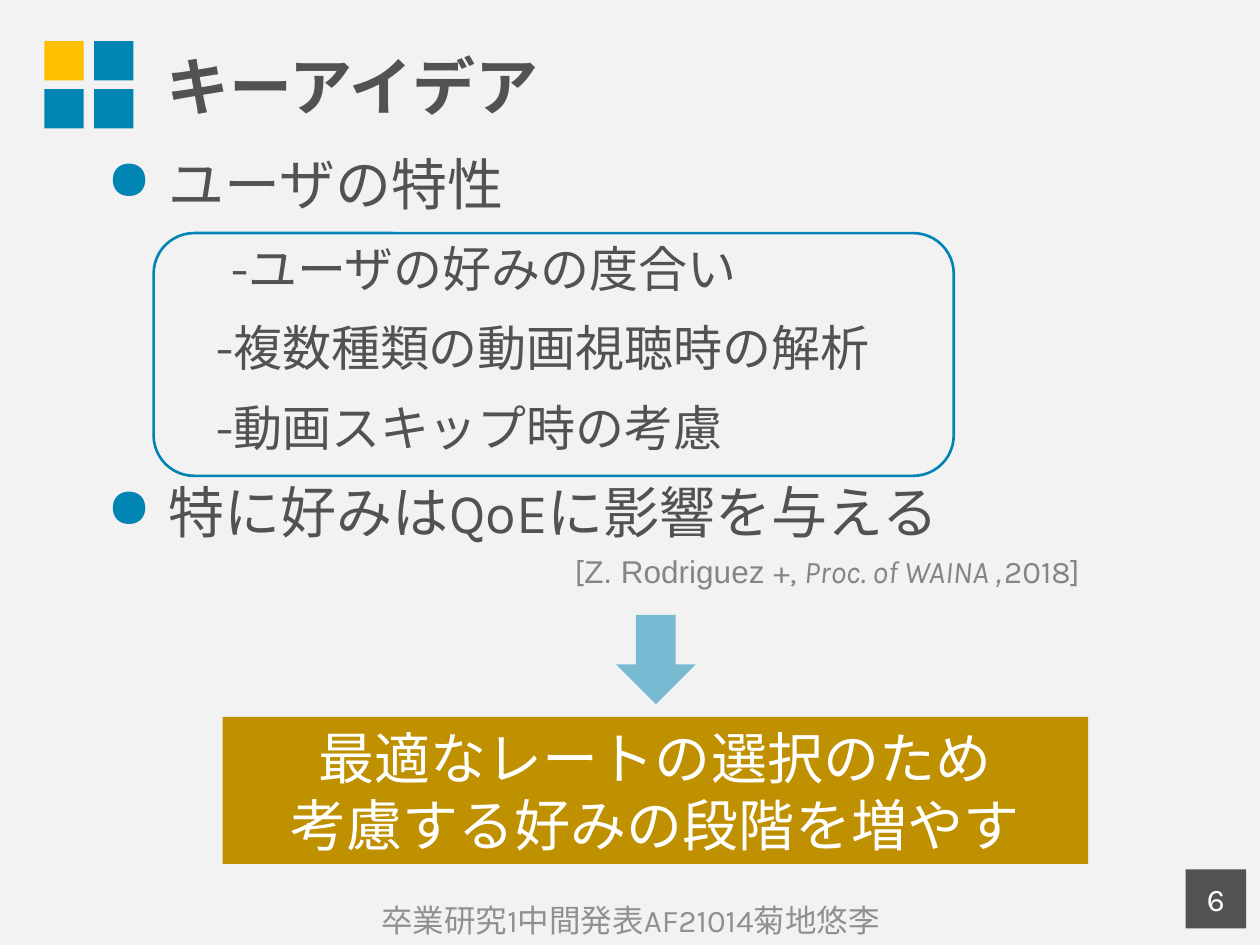
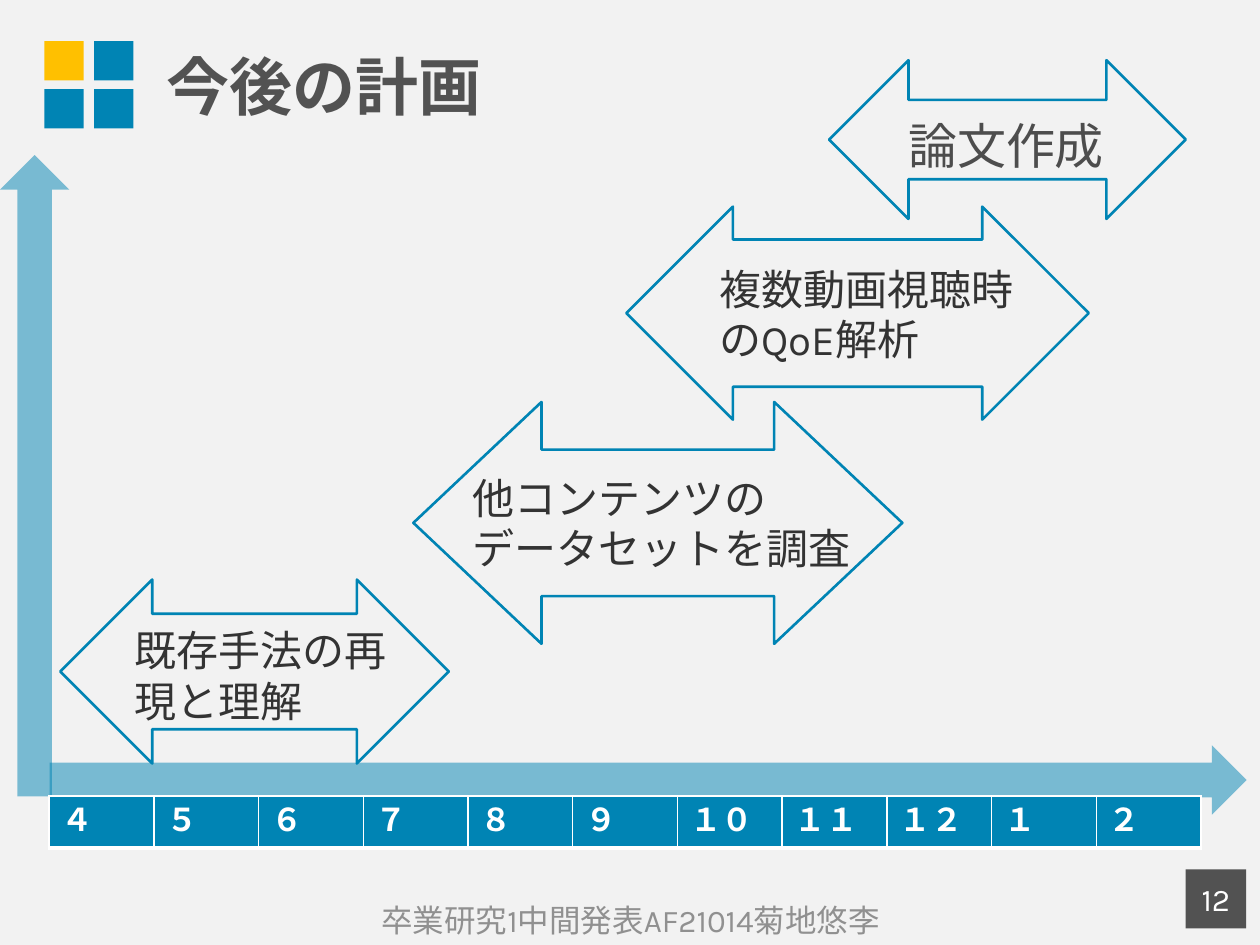
from dataclasses import dataclass
from typing import Any, NamedTuple, Optional

import pptx
import pptx.dml.color
import pptx.enum.lang
import pptx.enum.shapes
import pptx.enum.text
import pptx.oxml
import pptx.oxml.ns
import pptx.util

Pt = pptx.util.Pt
SHAPE = pptx.enum.shapes.MSO_SHAPE
ALIGN = pptx.enum.text.PP_ALIGN
ANCHOR = pptx.enum.text.MSO_ANCHOR
AUTO_SIZE = pptx.enum.text.MSO_AUTO_SIZE


@dataclass(frozen=True)
class Theme:
    background: str = "F2F2F2"
    blue: str = "0084B4"
    yellow: str = "FFC000"
    gold: str = "BF9000"
    dark: str = "525252"
    label: str = "333333"
    paper_label: str = "4D4D4D"
    footer: str = "909090"
    citation: str = "858585"
    white: str = "FFFFFF"
    font: str = "Karla"
    citation_font: str = "Arial"
    title_size: int = 36
    body_size: int = 32
    sub_size: int = 28
    label_size: int = 24
    small_size: int = 18
    outline: float = 1.5


THEME = Theme()
FOOTER = "卒業研究1中間発表AF21014菊地悠李"
MONTHS = ["４", "５", "６", "７", "８", "９", "１０", "１１", "１２", "１", "２"]


class Box(NamedTuple):
    """Left, top, width and height in points."""
    x: float
    y: float
    w: float
    h: float

    def lengths(self) -> list:
        return [Pt(v) for v in self]


@dataclass(frozen=True)
class BodyLine:
    text: str
    size: int
    indent: float
    bullet: bool = False


@dataclass(frozen=True)
class PlanStep:
    arrow: Box
    adjustments: tuple
    label_box: Box
    lines: tuple
    size: int = THEME.label_size
    color: str = THEME.label
    wrap: bool = True


BODY_LINES = [
    BodyLine("ユーザの特性", THEME.body_size, 35.3, bullet=True),
    BodyLine("-ユーザの好みの度合い", THEME.sub_size, 71),
    BodyLine("-複数種類の動画視聴時の解析", THEME.sub_size, 62.5),
    BodyLine("-動画スキップ時の考慮", THEME.sub_size, 62.5),
    BodyLine("特に好みはQoEに影響を与える", THEME.body_size, 35.3, bullet=True),
]

PLAN_STEPS = [
    PlanStep(Box(34.5, 331.2, 222, 105.1), (0.628, 0.5),
             Box(69.8, 353.5, 159.5, 65.5), ("既存手法の再現と理解",)),
    PlanStep(Box(236.2, 229.7, 279.4, 138.2), (0.606, 0.53),
             Box(262.8, 266.4, 235.5, 65.5), ("他コンテンツの", "データセットを調査")),
    PlanStep(Box(358, 118.1, 264.2, 121.7), (0.692, 0.5),
             Box(404, 146.9, 191.5, 65.5), ("複数動画視聴時のQoE解析",)),
    PlanStep(Box(473.8, 34.4, 203.8, 90.7), (0.5, 0.5),
             Box(511.9, 62.6, 127.4, 41), ("論文作成",),
             size=THEME.sub_size, color=THEME.paper_label, wrap=False),
]


def rgb(color: str) -> pptx.dml.color.RGBColor:
    return pptx.dml.color.RGBColor.from_string(color)


def add_xml(parent: Any, tag: str, **attrs: Any) -> Any:
    child = pptx.oxml.ns.qn(tag)
    element = parent.makeelement(child, {k: str(v) for k, v in attrs.items()})
    parent.append(element)
    return element


def write_text(p: Any, text: str, *, size: int, color: str, font: str = THEME.font,
               bold: bool = False, italic: bool = False,
               align: Optional[Any] = None) -> None:
    """Append a formatted run to a paragraph."""
    if align is not None:
        p.alignment = align
    r = p.add_run()
    r.text = text
    r.font.size = Pt(size)
    r.font.bold = bold
    r.font.italic = italic
    r.font.color.rgb = rgb(color)
    r.font.name = font
    r.font.language_id = pptx.enum.lang.MSO_LANGUAGE_ID.JAPANESE
    add_xml(r.font._element, "a:ea", typeface=font)


def write_lines(tf: Any, lines: tuple, **fmt: Any) -> None:
    """Fill a text frame with one paragraph per line."""
    for i, line in enumerate(lines):
        p = tf.add_paragraph() if i else tf.paragraphs[0]
        write_text(p, line, **fmt)


def add_text_box(s: Any, box: Box, *, anchor: Any = ANCHOR.TOP,
                 wrap: bool = True, grow: bool = False) -> Any:
    tf = s.shapes.add_textbox(*box.lengths()).text_frame
    tf.word_wrap = wrap
    tf.vertical_anchor = anchor
    tf.auto_size = AUTO_SIZE.SHAPE_TO_FIT_TEXT if grow else AUTO_SIZE.NONE
    return tf


def add_shape(s: Any, kind: Any, box: Box, fill: str, *, outline: Optional[str] = None,
              opacity: Optional[int] = None, rotation: float = 0,
              adjustments: tuple = ()) -> Any:
    sp = s.shapes.add_shape(kind, *box.lengths())
    sp.shadow.inherit = False
    sp.rotation = rotation
    sp.fill.solid()
    sp.fill.fore_color.rgb = rgb(fill)
    if opacity is not None:
        color = sp._element.spPr.find(".//" + pptx.oxml.ns.qn("a:srgbClr"))
        add_xml(color, "a:alpha", val=opacity * 1000)
    if outline:
        sp.line.color.rgb = rgb(outline)
        sp.line.width = Pt(THEME.outline)
    else:
        sp.line.fill.background()
    for i, value in enumerate(adjustments):
        sp.adjustments[i] = value
    sp.text_frame.vertical_anchor = ANCHOR.MIDDLE
    return sp


def add_block_arrow(s: Any, box: Box, rotation: float = 0) -> None:
    add_shape(s, SHAPE.DOWN_ARROW, box, THEME.blue, opacity=50, rotation=rotation)


def add_base_slide(prs: Any, title: str, number: int) -> Any:
    """Add a slide with the squares, title, footer and page number."""
    s = prs.slides.add_slide(prs.slide_layouts[6])
    s.background.fill.solid()
    s.background.fill.fore_color.rgb = rgb(THEME.background)
    for row in range(2):
        for col in range(2):
            color = THEME.blue if row or col else THEME.yellow
            add_shape(s, SHAPE.RECTANGLE,
                      Box(25.4 + 28.4 * col, 23.5 + 27.4 * row, 22.5, 22.5), color)
    tf = add_text_box(s, Box(87.8, 3.6, 632.2, 90), anchor=ANCHOR.MIDDLE)
    write_lines(tf, (title,), size=THEME.title_size, color=THEME.dark, bold=True)
    tf = add_text_box(s, Box(133.9, 511.2, 452.9, 28.8), anchor=ANCHOR.MIDDLE)
    write_lines(tf, (FOOTER,), size=THEME.small_size, color=THEME.footer,
                align=ALIGN.CENTER)
    sp = add_shape(s, SHAPE.RECTANGLE, Box(677.5, 496.8, 34.6, 33.8), THEME.dark)
    sp.text_frame.margin_left = sp.text_frame.margin_right = 0
    write_lines(sp.text_frame, (str(number),), size=THEME.small_size,
                color=THEME.white, align=ALIGN.CENTER)
    return s


def add_body(s: Any, box: Box, lines: list) -> None:
    tf = add_text_box(s, box)
    for i, line in enumerate(lines):
        p = tf.add_paragraph() if i else tf.paragraphs[0]
        p.space_before = Pt(12)
        pPr = p._p.get_or_add_pPr()
        pPr.set("marL", str(Pt(line.indent)))
        pPr.set("indent", str(-Pt(line.indent) if line.bullet else 0))
        if line.bullet:
            add_xml(add_xml(pPr, "a:buClr"), "a:srgbClr", val=THEME.blue)
            add_xml(pPr, "a:buChar", char="●")
        write_text(p, line.text, size=line.size, color=THEME.dark)


def set_borders(cell: Any, color: str, **widths: float) -> None:
    """Draw cell borders; the fill must follow them in the cell properties."""
    tcPr = cell._tc.get_or_add_tcPr()
    for side, width in widths.items():
        ln = add_xml(tcPr, f"a:{side}", w=Pt(width))
        add_xml(add_xml(ln, "a:solidFill"), "a:srgbClr", val=color)


def add_month_table(s: Any, box: Box) -> None:
    table = s.shapes.add_table(1, len(MONTHS), *box.lengths()).table
    table.first_row = table.horz_banding = False
    table.rows[0].height = Pt(box.h)
    for i, month in enumerate(MONTHS):
        table.columns[i].width = Pt(box.w / len(MONTHS))
        cell = table.cell(0, i)
        set_borders(cell, THEME.white, lnL=1, lnR=1, lnT=1, lnB=3)
        cell.fill.solid()
        cell.fill.fore_color.rgb = rgb(THEME.blue)
        write_lines(cell.text_frame, (month,), size=THEME.small_size,
                    color=THEME.white, bold=True)


def add_plan_step(s: Any, step: PlanStep) -> None:
    add_shape(s, SHAPE.LEFT_RIGHT_ARROW, step.arrow, THEME.background,
              outline=THEME.blue, adjustments=step.adjustments)
    tf = add_text_box(s, step.label_box, wrap=step.wrap, grow=True)
    write_lines(tf, step.lines, size=step.size, color=step.color)


def build_key_idea(prs: Any) -> None:
    s = add_base_slide(prs, "キーアイデア", 6)
    add_shape(s, SHAPE.ROUNDED_RECTANGLE, Box(87.8, 133.2, 457.2, 138.7),
              THEME.background, outline=THEME.blue)
    add_body(s, Box(54, 82.1, 658.8, 428.4), BODY_LINES)
    add_block_arrow(s, Box(352.1, 351.4, 45.4, 51))
    sp = add_shape(s, SHAPE.RECTANGLE, Box(127.2, 409.7, 494.6, 84), THEME.gold)
    write_lines(sp.text_frame, ("最適なレートの選択のため", "考慮する好みの段階を増やす"),
                size=THEME.body_size, color=THEME.white, align=ALIGN.CENTER)
    tf = add_text_box(s, Box(321.1, 311.8, 356.4, 28.8), grow=True)
    for text, font, italic in [
        ("[", THEME.font, False),
        ("Z. Rodriguez ", THEME.citation_font, False),
        ("+, ", THEME.font, False),
        ("Proc. of WAINA ", THEME.font, True),
        (",", THEME.citation_font, True),
        ("2018]", THEME.font, False),
    ]:
        write_text(tf.paragraphs[0], text, size=THEME.small_size,
                   color=THEME.citation, font=font, italic=italic)


def build_plan(prs: Any) -> None:
    s = add_base_slide(prs, "今後の計画", 12)
    add_block_arrow(s, Box(0, 88.6, 39.6, 366.5), rotation=180)
    add_block_arrow(s, Box(350.6, 103.7, 39.6, 684), rotation=270)
    add_month_table(s, Box(28.1, 455, 658.5, 29.5))
    for step in PLAN_STEPS:
        add_plan_step(s, step)


def main() -> None:
    prs = pptx.Presentation()
    prs.slide_width, prs.slide_height = Pt(720), Pt(540)
    build_key_idea(prs)
    build_plan(prs)
    prs.save("out.pptx")


if __name__ == "__main__":
    main()
